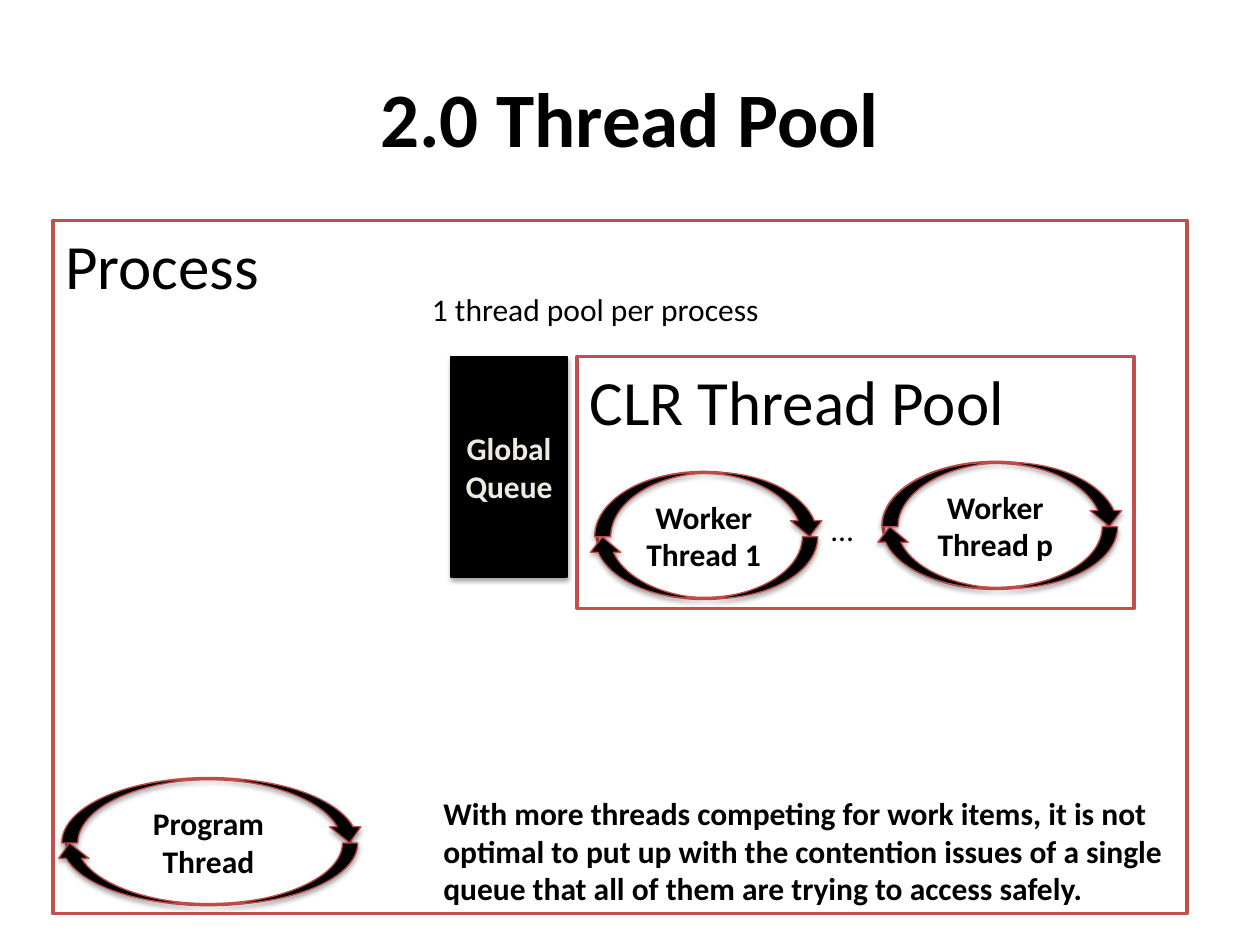
from lxml import etree
from pptx import Presentation
from pptx.dml.color import RGBColor
from pptx.enum.shapes import MSO_SHAPE
from pptx.enum.text import MSO_ANCHOR, PP_ALIGN
from pptx.oxml.ns import qn
from pptx.util import Inches, Pt

RECTANGLE, OVAL, ARROW = MSO_SHAPE.RECTANGLE, MSO_SHAPE.OVAL, MSO_SHAPE.CURVED_DOWN_ARROW
TOP, MIDDLE = MSO_ANCHOR.TOP, MSO_ANCHOR.MIDDLE
LEFT, CENTER = PP_ALIGN.LEFT, PP_ALIGN.CENTER
BLACK, WHITE, CREAM, RED, DARK_RED = "000000", "FFFFFF", "EEECE1", "C0504D", "BF4C48"

CONTAINERS = [
    ("Process", (0.42, 1.75, 9, 5.5)),
    ("CLR Thread Pool", (4.58, 2.83, 4.42, 2)),
]
QUEUE = (["Global", "Queue"], (3.58, 2.83, 0.92, 1.75))
THREADS = [
    ("Program Thread", (0.53, 6.18, 2.25, 1), 0.49, 2.41),
    ("Worker Thread 1", (4.74, 3.75, 1.69, 1), 4.72, 1.83),
    ("Worker Thread p", (7.01, 3.67, 1.78, 1), 7, 1.93),
]
TITLE = ("2.0 Thread Pool", (0.5, 0.3, 9, 1.25))
CONCLUSION = (
    "With more threads competing for work items, it is not optimal to put up with the "
    "contention issues of a single queue that all of them are trying to access safely.",
    (3.42, 6.25, 5.92, 1.01),
)
POOL_NOTE = ("1 thread pool per process", (3.33, 2.25, 2.83, 0.4))
ELLIPSIS = ("…", (6.5, 4, 0.4, 0.42))
ARROW_HEIGHTS = (0.51, 0.49)
RETURN_SHIFT = 0.06


def color(value):
    return RGBColor.from_string(value)


def write(shape, lines, size=18, bold=False, ink=BLACK, align=LEFT, anchor=TOP, wrap=True):
    frame = shape.text_frame
    frame.word_wrap = wrap
    frame.vertical_anchor = anchor
    for index, line in enumerate(lines):
        paragraph = frame.paragraphs[0] if index == 0 else frame.add_paragraph()
        paragraph.alignment = align
        run = paragraph.add_run()
        run.text = line
        run.font.name = "Calibri"
        run.font.size = Pt(size)
        run.font.bold = bold
        run.font.color.rgb = color(ink)


def add_shape(slide, kind, box, fill, line, width):
    shape = slide.shapes.add_shape(kind, *map(Inches, box))
    shape.shadow.inherit = False
    shape.fill.solid()
    shape.fill.fore_color.rgb = color(fill)
    shape.line.color.rgb = color(line)
    shape.line.width = Pt(width)
    return shape


def add_shadow(shape):
    effects = shape._element.spPr.find(qn("a:effectLst"))
    shadow = etree.SubElement(
        effects, qn("a:outerShdw"), blurRad=str(Pt(3.1)), dist=str(Pt(1.8)),
        dir="5400000", rotWithShape="0")
    ink = etree.SubElement(shadow, qn("a:srgbClr"), val=BLACK)
    etree.SubElement(ink, qn("a:alpha"), val="35000")


def add_text(slide, content, **style):
    text, box = content
    write(slide.shapes.add_textbox(*map(Inches, box)), [text], **style)


def add_arrows(slide, left, top, width):
    upper, lower = ARROW_HEIGHTS
    boxes = [(left, top, width, upper), (left - RETURN_SHIFT, top + upper, width, lower)]
    for box, rotation in zip(boxes, (0, 180)):
        arrow = add_shape(slide, ARROW, box, BLACK, DARK_RED, 0.75)
        arrow.rotation = rotation
        arrow.adjustments[1] = 0.49
        add_shadow(arrow)


def main():
    """Build the thread pool slide."""
    presentation = Presentation()
    presentation.slide_width, presentation.slide_height = Inches(10), Inches(7.5)
    slide = presentation.slides.add_slide(presentation.slide_layouts[6])

    for text, box in CONTAINERS:
        write(add_shape(slide, RECTANGLE, box, WHITE, RED, 2), [text], size=36)

    lines, box = QUEUE
    queue = add_shape(slide, RECTANGLE, box, BLACK, BLACK, 0.75)
    add_shadow(queue)
    write(queue, lines, bold=True, ink=CREAM, align=CENTER, anchor=MIDDLE)

    for text, box, arrow_left, arrow_width in THREADS:
        oval = add_shape(slide, OVAL, box, WHITE, RED, 2)
        write(oval, [text], bold=True, align=CENTER, anchor=MIDDLE)
        add_arrows(slide, arrow_left, box[1], arrow_width)

    add_text(slide, TITLE, size=44, bold=True, align=CENTER, anchor=MIDDLE)
    add_text(slide, CONCLUSION, bold=True)
    add_text(slide, POOL_NOTE, wrap=False)
    add_text(slide, ELLIPSIS)
    presentation.save("out.pptx")


if __name__ == "__main__":
    main()
